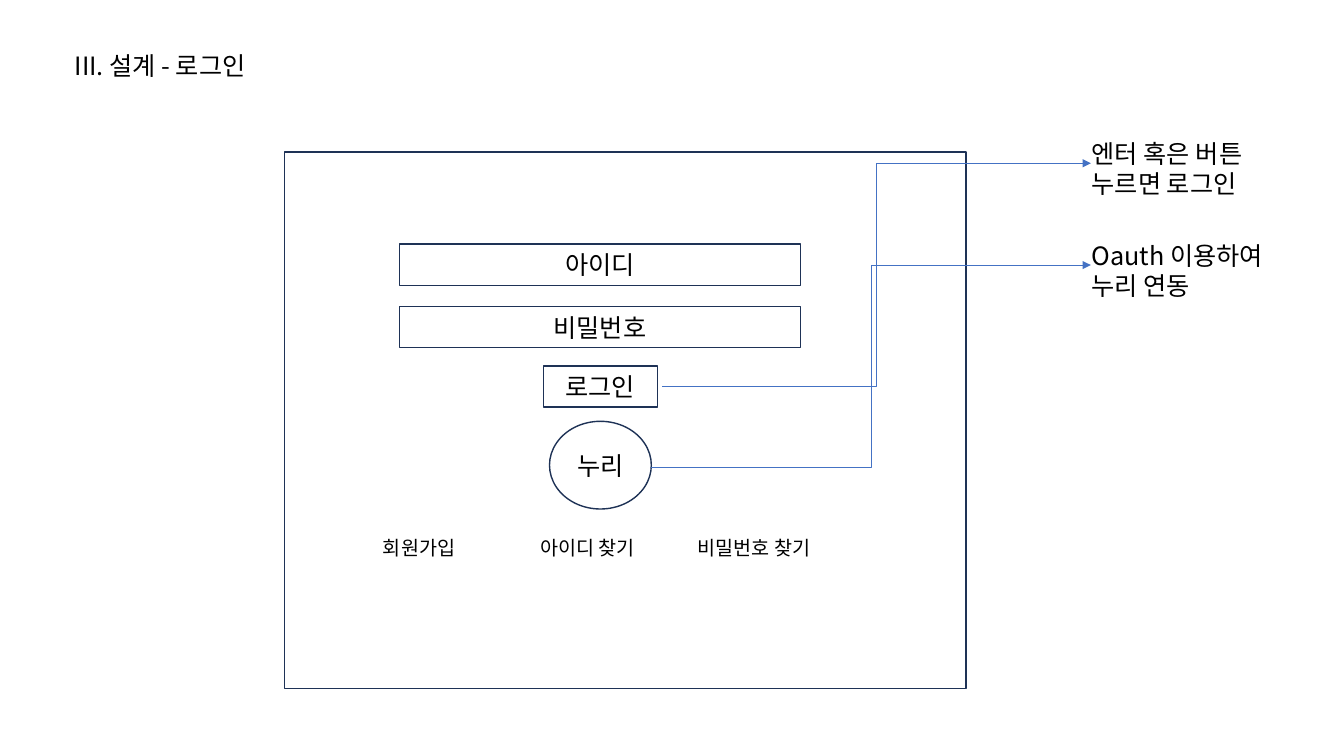
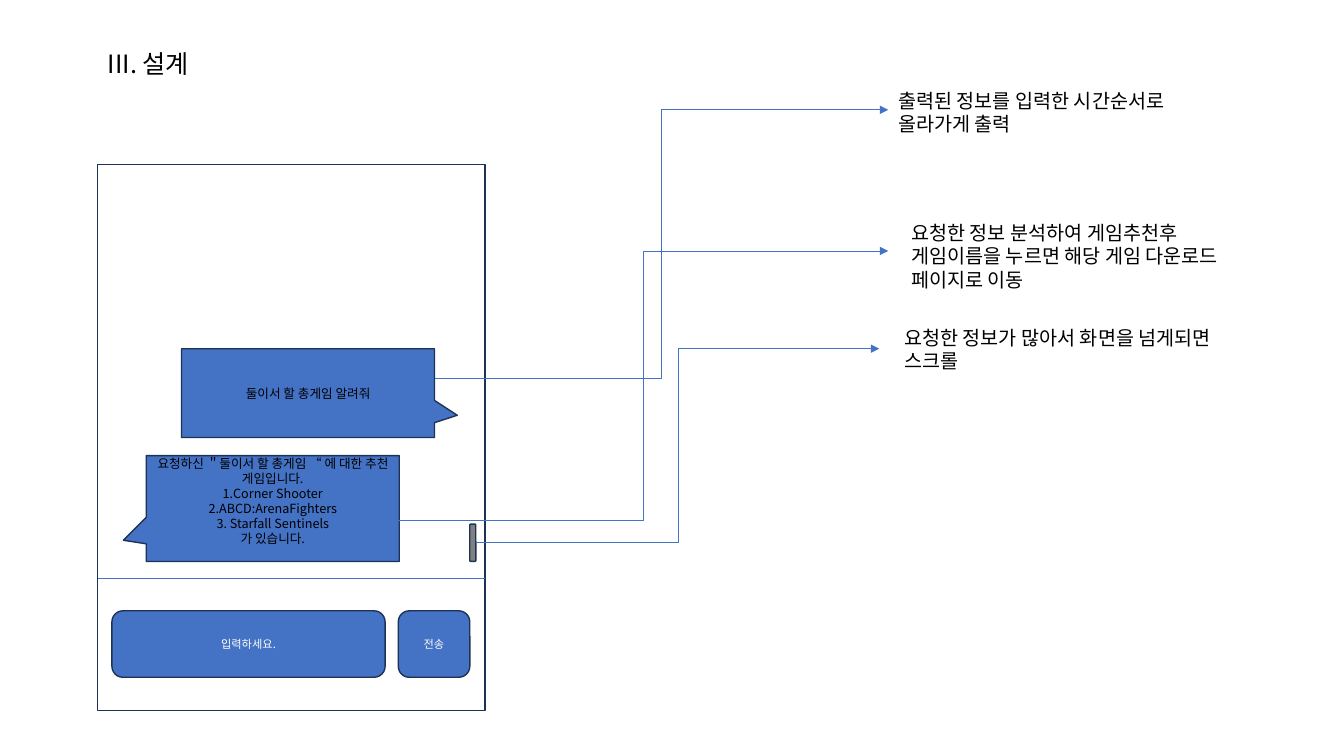
from dataclasses import dataclass

from lxml.etree import SubElement
from pptx import Presentation
from pptx.dml.color import RGBColor
from pptx.enum.shapes import MSO_CONNECTOR as Connector, MSO_SHAPE as Preset
from pptx.enum.text import MSO_ANCHOR as Anchor, PP_ALIGN as Align
from pptx.oxml.ns import qn
from pptx.util import Inches, Pt

FONT = "Noto Sans CJK KR"
BLACK = RGBColor(0x00, 0x00, 0x00)
WHITE = RGBColor(0xFF, 0xFF, 0xFF)
NAVY = RGBColor(0x1E, 0x32, 0x56)
BLUE = RGBColor(0x44, 0x72, 0xC4)
GRAY = RGBColor(0x80, 0x80, 0x80)


@dataclass(frozen=True)
class Box:
    left: float
    top: float
    width: float
    height: float
    text: str = ""
    preset: Preset = Preset.RECTANGLE
    fill: RGBColor = WHITE
    size: int = 18
    color: RGBColor = BLACK
    adjustments: tuple[float, ...] = ()
    bottom_inset: float = 0.05


@dataclass(frozen=True)
class Note:
    left: float
    top: float
    width: float
    height: float
    text: str
    size: int = 14


@dataclass(frozen=True)
class Link:
    start: tuple[float, float]
    end: tuple[float, float]
    kind: Connector = Connector.ELBOW


@dataclass(frozen=True)
class Screen:
    title: str
    title_left: float
    title_top: float
    boxes: tuple[Box, ...]
    notes: tuple[Note, ...]
    links: tuple[Link, ...]


LOGIN = Screen(
    "III. 설계 - 로그인", 0.64, 0.45,
    boxes=(
        Box(2.82, 1.51, 6.76, 5.32),
        *(Box(3.96, 2.42 + 0.62 * row, 3.98, 0.41, label)
          for row, label in enumerate(("아이디", "비밀번호"))),
        Box(5.45, 4.18, 1.01, 0.87, "누리", Preset.OVAL),
        Box(5.39, 3.63, 1.13, 0.41, "로그인"),
    ),
    notes=(
        *(Note(3.7 + 1.56 * column, 5.27, 1.45, 0.34, label)
          for column, label in enumerate(("회원가입", "아이디 찾기", "비밀번호 찾기"))),
        Note(10.73, 1.32, 1.89, 0.71, "엔터 혹은 버튼 누르면 로그인", 18),
        Note(10.73, 2.33, 2.04, 0.71, "Oauth 이용하여 누리 연동", 18),
    ),
    links=(
        Link((6.57, 3.83), (10.82, 1.62)),
        Link((6.46, 4.64), (10.82, 2.63)),
    ),
)

ANSWER = "\n".join((
    "요청하신 ＂둘이서 할 총게임 “ 에 대한 추천 게임입니다.",
    "1.Corner Shooter",
    "2.ABCD:ArenaFighters",
    "3. Starfall Sentinels",
    "가 있습니다.",
))

CHAT = Screen(
    "III. 설계", 0.97, 0.43,
    boxes=(
        Box(0.97, 1.63, 3.84, 5.42),
        Box(1.11, 6.06, 2.71, 0.66, "입력하세요.", Preset.ROUNDED_RECTANGLE, BLUE, 8, WHITE),
        Box(3.95, 6.06, 0.71, 0.66, "전송", Preset.FLOWCHART_ALTERNATE_PROCESS, BLUE, 8, WHITE),
        Box(1.8, 3.46, 2.51, 0.88, "둘이서 할 총게임 알려줘",
            Preset.RECTANGULAR_CALLOUT, BLUE, 9, adjustments=(0.59, 0.25)),
        Box(1.45, 4.52, 2.51, 1.05, ANSWER,
            Preset.RECTANGULAR_CALLOUT, BLUE, 9, adjustments=(-0.59, 0.3), bottom_inset=0.2),
        Box(4.66, 5.2, 0.06, 0.37, preset=Preset.ROUNDED_RECTANGLE, fill=GRAY),
    ),
    notes=(
        Note(8.81, 0.83, 3.34, 0.57, "출력된 정보를 입력한 시간순서로 올라가게 출력"),
        Note(8.94, 2.14, 3.34, 0.81,
             "요청한 정보 분석하여 게임추천후 게임이름을 누르면 해당 게임 다운로드 페이지로 이동"),
        Note(8.87, 3.18, 3.34, 0.57, "요청한 정보가 많아서 화면을 넘게되면 스크롤"),
    ),
    links=(
        Link((0.97, 5.74), (4.81, 5.74), Connector.STRAIGHT),
        Link((4.31, 3.75), (8.81, 1.09)),
        Link((3.95, 5.16), (8.81, 2.49)),
        Link((4.73, 5.38), (8.72, 3.46)),
    ),
)


def write_text(shape, text: str, *, size: int = 18, color: RGBColor = BLACK,
               align: Align = Align.LEFT, anchor: Anchor = Anchor.TOP,
               bottom_inset: float = 0.05) -> None:
    """Fill a shape with text, one paragraph per line."""
    frame = shape.text_frame
    frame.word_wrap = True
    frame.vertical_anchor = anchor
    frame.margin_bottom = Inches(bottom_inset)
    frame.text = text
    for paragraph in frame.paragraphs:
        paragraph.alignment = align
        for run in paragraph.runs:
            run.font.name = FONT
            run.font.size = Pt(size)
            run.font.color.rgb = color
            SubElement(run.font._element, qn("a:ea"), typeface=FONT)


def add_title(slide, screen: Screen) -> None:
    """Place and format the title placeholder."""
    title = slide.shapes.title
    title.left, title.top = Inches(screen.title_left), Inches(screen.title_top)
    title.width, title.height = Inches(3), Inches(0.4)
    write_text(title, screen.title)


def add_box(slide, box: Box) -> None:
    """Draw an outlined shape with centred text."""
    shape = slide.shapes.add_shape(
        box.preset, Inches(box.left), Inches(box.top), Inches(box.width), Inches(box.height))
    shape.shadow.inherit = False
    shape.fill.solid()
    shape.fill.fore_color.rgb = box.fill
    shape.line.color.rgb = NAVY
    shape.line.width = Pt(1)
    for index, value in enumerate(box.adjustments):
        shape.adjustments[index] = value
    if box.text:
        write_text(shape, box.text, size=box.size, color=box.color, align=Align.CENTER,
                   anchor=Anchor.MIDDLE, bottom_inset=box.bottom_inset)


def add_note(slide, note: Note) -> None:
    """Add a plain text box."""
    shape = slide.shapes.add_textbox(
        Inches(note.left), Inches(note.top), Inches(note.width), Inches(note.height))
    write_text(shape, note.text, size=note.size)


def add_link(slide, link: Link) -> None:
    """Draw a thin line, with an arrowhead when it bends."""
    connector = slide.shapes.add_connector(
        link.kind, *(Inches(length) for length in (*link.start, *link.end)))
    connector.line.color.rgb = BLUE
    connector.line.width = Pt(0.5)
    if link.kind == Connector.ELBOW:
        SubElement(connector.line._get_or_add_ln(), qn("a:tailEnd"), type="triangle")
    SubElement(connector._element.spPr, qn("a:effectLst"))


def add_screen(presentation, screen: Screen) -> None:
    """Build one slide from its description."""
    slide = presentation.slides.add_slide(presentation.slide_layouts[5])
    add_title(slide, screen)
    for box in screen.boxes:
        add_box(slide, box)
    for note in screen.notes:
        add_note(slide, note)
    for link in screen.links:
        add_link(slide, link)


def main() -> None:
    """Build and save the presentation."""
    presentation = Presentation()
    presentation.slide_width, presentation.slide_height = Inches(13.33), Inches(7.5)
    for screen in (LOGIN, CHAT):
        add_screen(presentation, screen)
    presentation.save("out.pptx")


if __name__ == "__main__":
    main()
